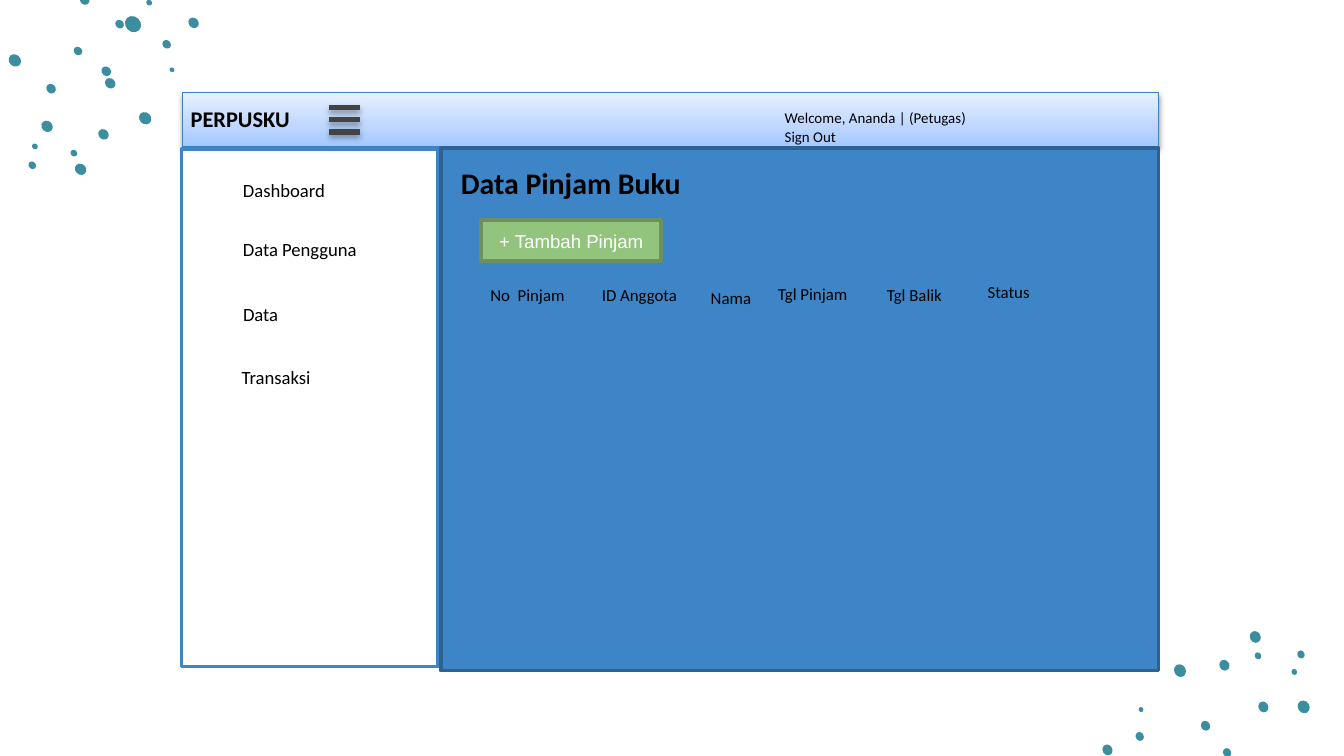
from lxml import etree
from pptx import Presentation
from pptx.dml.color import RGBColor
from pptx.enum.shapes import MSO_CONNECTOR, MSO_SHAPE
from pptx.enum.text import MSO_ANCHOR, MSO_AUTO_SIZE, PP_ALIGN
from pptx.util import Inches, Pt

RECT, OVAL = MSO_SHAPE.RECTANGLE, MSO_SHAPE.OVAL
STRAIGHT = MSO_CONNECTOR.STRAIGHT
TOP, MIDDLE = MSO_ANCHOR.TOP, MSO_ANCHOR.MIDDLE
LEFT, CENTER = PP_ALIGN.LEFT, PP_ALIGN.CENTER
NO_AUTOFIT = MSO_AUTO_SIZE.NONE
A = "http://schemas.openxmlformats.org/drawingml/2006/main"
rgb = RGBColor.from_string


def add_shadow(sp, opacity, dist):
    """Add a soft shadow that falls straight down, opacity in percent."""
    sp._element.spPr.append(etree.fromstring(
        f'<a:effectLst xmlns:a="{A}"><a:outerShdw blurRad="{Pt(3.1)}" '
        f'dist="{Pt(dist)}" dir="5400000" algn="bl" rotWithShape="0">'
        f'<a:srgbClr val="000000"><a:alpha val="{opacity * 1000}"/>'
        '</a:srgbClr></a:outerShdw></a:effectLst>'))


def write(sp, text, size, color="000000", bold=False, name="Calibri",
          align=LEFT, anchor=TOP):
    tf = sp.text_frame
    tf.word_wrap = True
    tf.auto_size = NO_AUTOFIT
    tf.vertical_anchor = anchor
    tf.text = text
    p = tf.paragraphs[0]
    p.alignment = align
    p.line_spacing = 1.07
    p.space_before = Pt(0)
    p.space_after = Pt(8)
    p.font.name, p.font.size, p.font.bold = name, Pt(size), bold
    p.font.color.rgb = rgb(color)


prs = Presentation()
prs.slide_width, prs.slide_height = Inches(10), Inches(10 * 9 / 16)
s = prs.slides.add_slide(prs.slide_layouts[5])

# Corner dots: rotation, then centre x, centre y and size of each
dot_groups = [
    (45, [(0.99, 0.18, 0.17), (1.11, 0.02, 0.06), (0.63, 0, 0.1),
          (0.89, 0.18, 0.09), (0.58, 0.38, 0.09), (0.79, 0.53, 0.1),
          (0.82, 0.62, 0.11), (0.38, 0.66, 0.1), (0.77, 1, 0.11),
          (0.35, 0.94, 0.12), (0.55, 1.14, 0.07), (0.6, 1.26, 0.12),
          (0.26, 1.09, 0.06), (0.24, 1.23, 0.08), (1.08, 0.88, 0.13),
          (1.44, 0.17, 0.11), (1.24, 0.33, 0.09), (1.28, 0.52, 0.05),
          (0.11, 0.45, 0.13)]),
    (60.3, [(9.13, 5.6, 0.09), (8.97, 5.4, 0.1), (9.4, 5.26, 0.11),
            (9.11, 4.95, 0.11), (9.36, 4.88, 0.07), (9.34, 4.74, 0.12),
            (9.63, 5, 0.06), (9.68, 4.87, 0.08), (8.78, 4.99, 0.13),
            (8.24, 5.58, 0.11), (8.48, 5.48, 0.09), (8.49, 5.28, 0.05),
            (9.7, 5.26, 0.13)]),
]
for rotation, dots in dot_groups:
    for x, y, size in dots:
        w, h = 0.75 * size, 0.66 * size
        sp = s.shapes.add_shape(OVAL, Inches(x - w / 2), Inches(y - h / 2),
                                Inches(w), Inches(h))
        sp.rotation = rotation
        sp.shadow.inherit = False
        sp.fill.solid()
        sp.fill.fore_color.rgb = rgb("3C8DA0")
        sp.line.fill.background()

# Header bar
header = s.shapes.add_shape(RECT, Inches(1.36), Inches(0.69),
                            Inches(7.26), Inches(0.4))
header.fill.gradient()
header.fill.gradient_angle = 90
for stop, color in zip(header.fill.gradient_stops, ("A5C8FF", "E7F0FF")):
    stop.color.rgb = rgb(color)
header.line.color.rgb = rgb("3882C5")
header.line.width = Pt(0.75)
add_shadow(header, 38, 1.6)

# Menu icon
for i in range(3):
    y = Inches(0.8 + 0.09 * i)
    bar = s.shapes.add_connector(STRAIGHT, Inches(2.45), y, Inches(2.68), y)
    bar.line.color.rgb = rgb("434343")
    bar.line.width = Pt(3)
    add_shadow(bar, 35, 1.8)

# Sidebar, content panel and button
boxes = []
for x, y, w, h, fill, line in [
    (1.35, 1.11, 1.91, 3.85, "FFFFFF", "3D85C6"),
    (3.28, 1.1, 5.34, 3.89, "3D85C6", "2D6292"),
    (3.58, 1.64, 1.34, 0.3, "93C47D", "6D915C"),
]:
    sp = s.shapes.add_shape(RECT, Inches(x), Inches(y), Inches(w), Inches(h))
    sp.shadow.inherit = False
    sp.fill.solid()
    sp.fill.fore_color.rgb = rgb(fill)
    sp.line.color.rgb = rgb(line)
    sp.line.width = Pt(2)
    boxes.append(sp)
write(boxes[-1], "+ Tambah Pinjam", 10, "FFFFFF", name="Arial",
      align=CENTER, anchor=MIDDLE)

# Page title, brought in front of the panel
title = s.shapes.title
title.left, title.top = Inches(3.33), Inches(1.16)
title.width, title.height = Inches(2.18), Inches(0.41)
write(title, "Data Pinjam Buku", 16, bold=True)
s.shapes._spTree.append(title._element)

# Header texts, menu entries and column headings
for x, y, w, h, text, size, bold in [
    (1.32, 0.72, 1.09, 0.36, "PERPUSKU", 12, True),
    (5.74, 0.75, 2.9, 0.31, "Welcome, Ananda | (Petugas)\vSign Out", 8, False),
    (1.71, 1.27, 1.24, 0.33, "Dashboard", 10, False),
    (1.71, 1.71, 1.24, 0.33, "Data Pengguna", 10, False),
    (1.71, 2.19, 0.65, 0.3, "Data", 10, False),
    (1.7, 2.66, 0.83, 0.3, "Transaksi", 10, False),
    (3.55, 2.06, 0.89, 0.35, "No  Pinjam", 9, False),
    (4.38, 2.06, 0.84, 0.38, "ID Anggota", 9, False),
    (5.19, 2.08, 0.6, 0.29, "Nama", 9, False),
    (5.69, 2.05, 0.84, 0.33, "Tgl Pinjam", 9, False),
    (6.5, 2.06, 0.92, 0.37, "Tgl Balik", 9, False),
    (7.25, 2.04, 0.9, 0.3, "Status", 9, False),
]:
    tb = s.shapes.add_textbox(Inches(x), Inches(y), Inches(w), Inches(h))
    write(tb, text, size, bold=bold)

prs.save("out.pptx")
